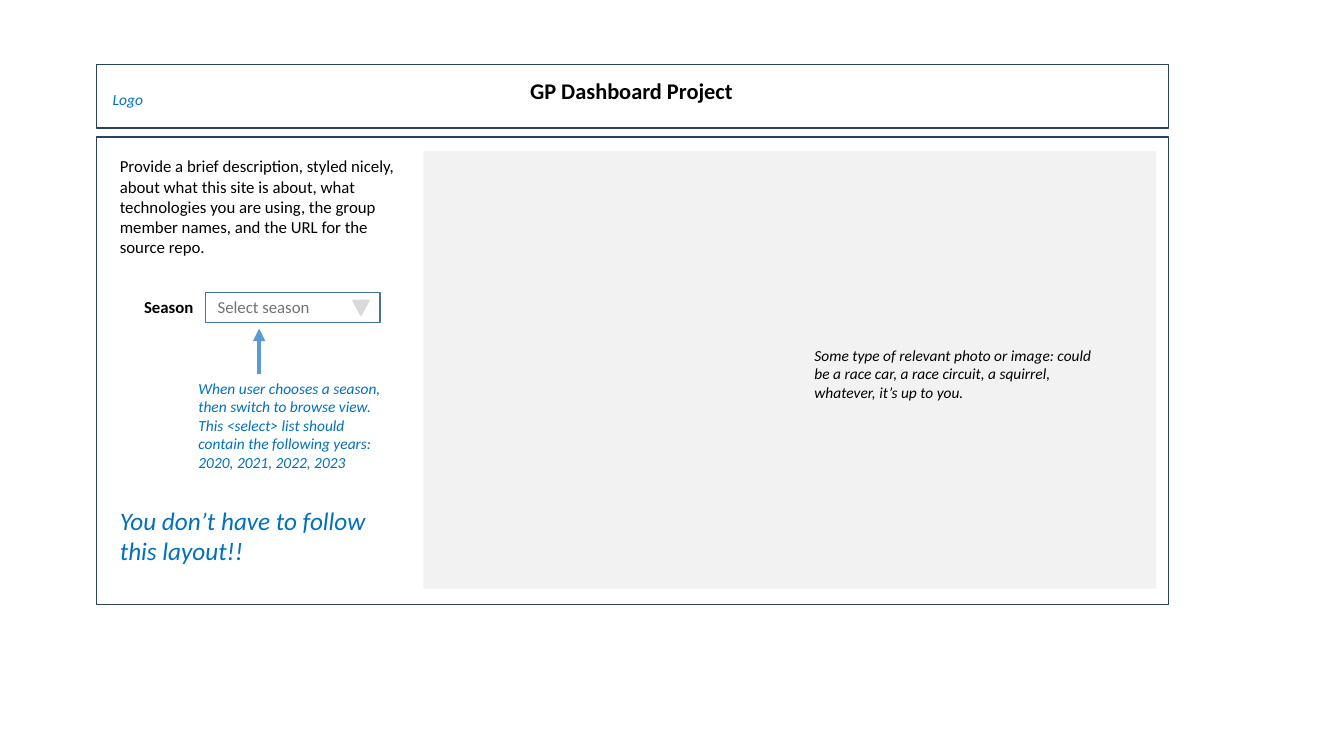
from lxml.etree import SubElement
from pptx import Presentation
from pptx.dml.color import RGBColor
from pptx.enum.shapes import MSO_CONNECTOR as Connector, MSO_SHAPE as Shape
from pptx.oxml.ns import qn
from pptx.util import Inches, Pt

BLACK = RGBColor(0x00, 0x00, 0x00)
WHITE = RGBColor(0xFF, 0xFF, 0xFF)
NAVY = RGBColor(0x28, 0x44, 0x5D)
STEEL = RGBColor(0x43, 0x73, 0x9E)
ARROW_BLUE = RGBColor(0x5B, 0x9B, 0xD5)
NOTE_BLUE = RGBColor(0x00, 0x70, 0xC0)
HINT_GRAY = RGBColor(0x76, 0x71, 0x71)
PALE_GRAY = RGBColor(0xF2, 0xF2, 0xF2)
MARKER_GRAY = RGBColor(0xD9, 0xD9, 0xD9)

FRAME_LEFT, FRAME_WIDTH = 0.96, 10.63


class Wireframe:
    font = "Calibri"

    def __init__(self, deck):
        self.page = deck.slides.add_slide(deck.slide_layouts[6])

    def shape(self, kind, left, top, width, height, fill=None, line=None, rotation=0):
        box = self.page.shapes.add_shape(
            kind, Inches(left), Inches(top), Inches(width), Inches(height))
        box.shadow.inherit = False
        box.rotation = rotation
        if fill is None:
            box.fill.background()
        else:
            box.fill.solid()
            box.fill.fore_color.rgb = fill
        if line is None:
            box.line.fill.background()
        else:
            box.line.color.rgb = line
            box.line.width = Pt(1)

    def text(self, words, left, top, width, height, size=12, color=BLACK, **style):
        box = self.page.shapes.add_textbox(
            Inches(left), Inches(top), Inches(width), Inches(height))
        box.text_frame.word_wrap = True
        span = box.text_frame.paragraphs[0].add_run()
        span.text = words
        span.font.color.rgb = color
        for name, value in {"name": self.font, "size": Pt(size), **style}.items():
            setattr(span.font, name, value)

    def note(self, words, left, top, width, height, size=11, color=NOTE_BLUE):
        """Add an italic remark about the layout."""
        self.text(words, left, top, width, height, size, color, italic=True)

    def arrow(self, start, end, color, width):
        arrow = self.page.shapes.add_connector(
            Connector.STRAIGHT, *(Inches(value) for value in (*start, *end)))
        arrow.line.color.rgb = color
        arrow.line.width = Pt(width)
        SubElement(arrow.line._get_or_add_ln(), qn("a:tailEnd"), type="triangle")
        SubElement(arrow._element.spPr, qn("a:effectLst"))


def main():
    deck = Presentation()
    deck.slide_width, deck.slide_height = Inches(13.33), Inches(7.5)
    home = Wireframe(deck)

    # Header
    home.text("GP Dashboard Project", 5.16, 0.72, 2.64, 0.37, size=16, bold=True)
    home.shape(Shape.RECTANGLE, FRAME_LEFT, 0.64, FRAME_WIDTH, 0.63, line=NAVY)
    home.note("Logo", 1.02, 0.84, 1.36, 0.29)

    # Body with photo area
    home.shape(Shape.RECTANGLE, 4.2, 1.5, 7.27, 4.34, fill=PALE_GRAY)
    home.shape(Shape.RECTANGLE, FRAME_LEFT, 1.36, FRAME_WIDTH, 4.64, line=NAVY)
    home.note("Some type of relevant photo or image: could be a race car, "
              "a race circuit, a squirrel, whatever, it’s up to you.",
              7.98, 3.38, 2.96, 0.66, color=BLACK)
    home.text("Provide a brief description, styled nicely, about what this site is "
              "about, what technologies you are using, the group member names, "
              "and the URL for the source repo.", 1.09, 1.5, 2.96, 1.11)

    # Season selector
    home.note("When user chooses a season, then switch to browse view. "
              "This <select> list should contain the following years: "
              "2020, 2021, 2022, 2023", 1.87, 3.71, 2.07, 1.03)
    home.arrow((2.57, 3.71), (2.57, 3.26), ARROW_BLUE, 3)
    home.text("Season", 1.33, 2.89, 1.52, 0.3, bold=True)
    home.shape(Shape.RECTANGLE, 2.04, 2.9, 1.73, 0.3, fill=WHITE, line=STEEL)
    home.shape(Shape.ISOSCELES_TRIANGLE, 3.5, 2.98, 0.16, 0.15,
               fill=MARKER_GRAY, line=MARKER_GRAY, rotation=180)
    home.text("Select season", 2.06, 2.89, 1.3, 0.3, color=HINT_GRAY)

    home.note("You don’t have to follow this layout!!", 1.09, 4.96, 2.85, 0.71, size=18)

    deck.save("out.pptx")


if __name__ == "__main__":
    main()
